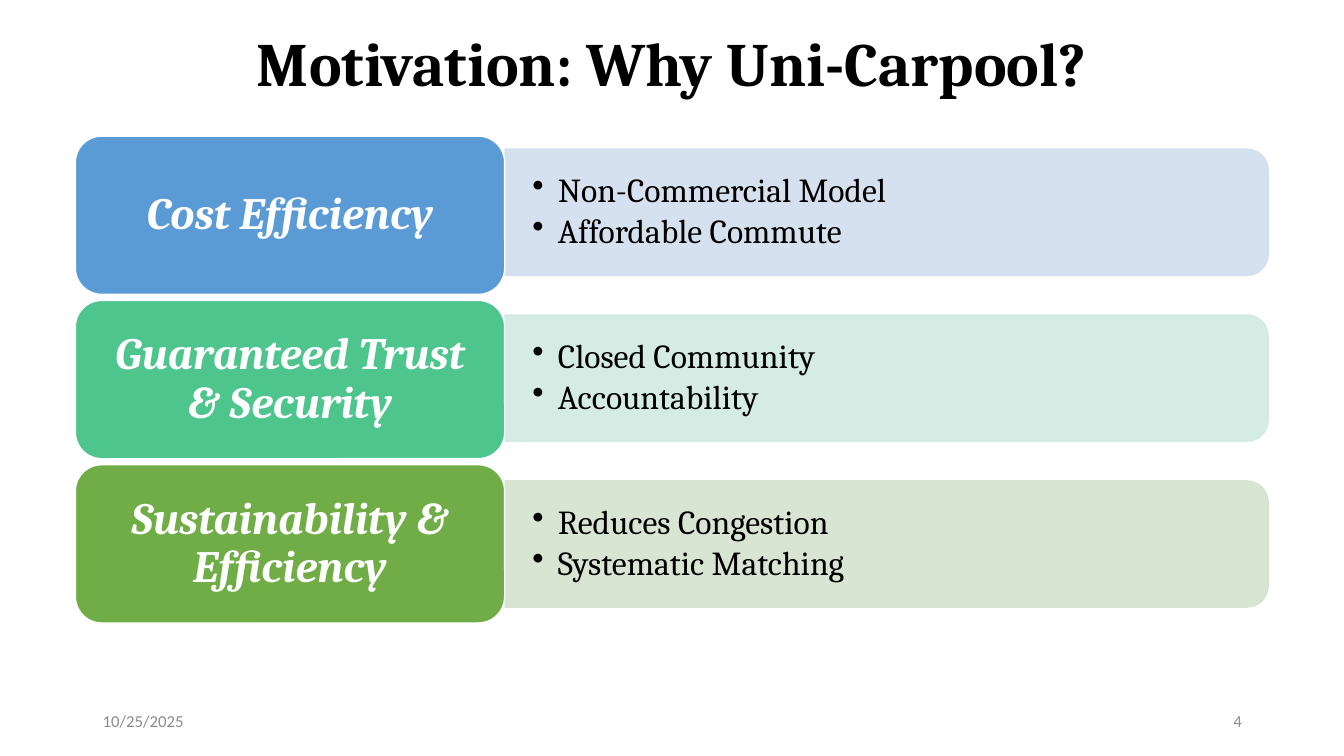
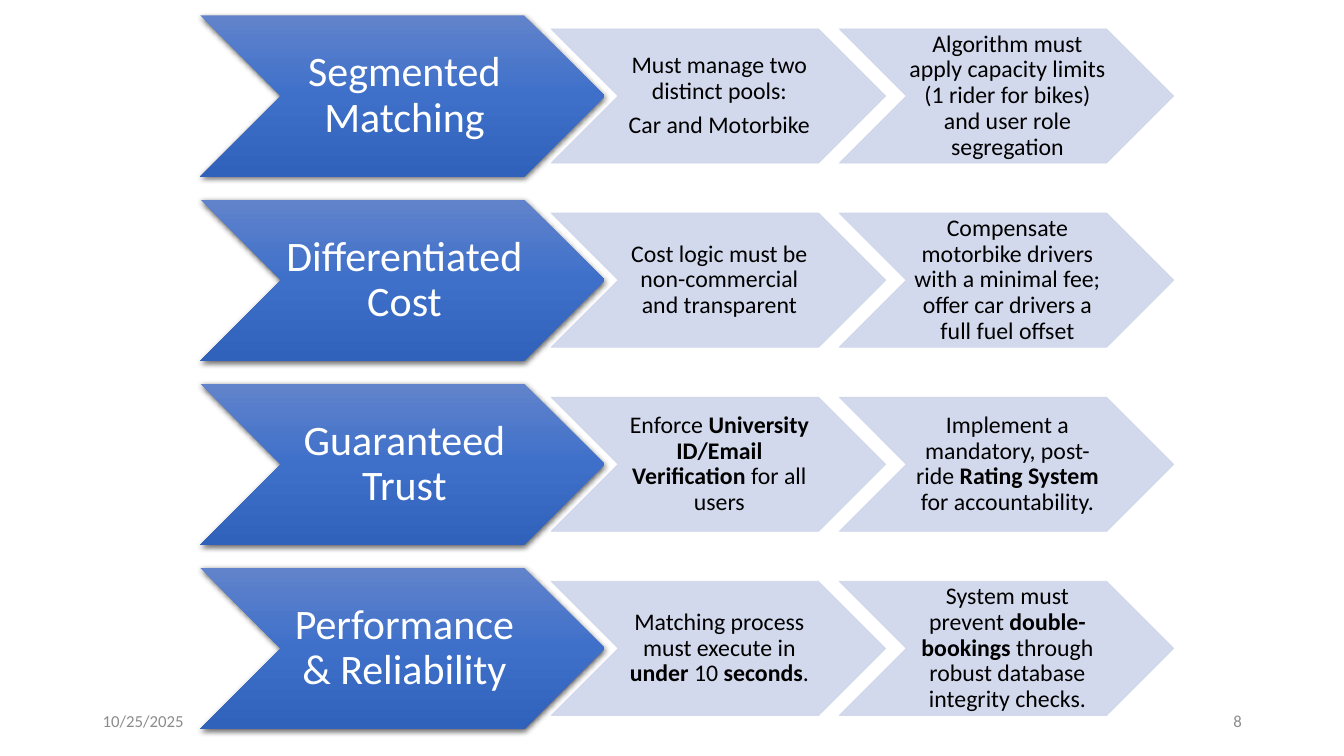
from pptx import Presentation
from pptx.dml.color import RGBColor
from pptx.enum.shapes import MSO_SHAPE
from pptx.enum.text import MSO_ANCHOR, MSO_AUTO_SIZE, PP_ALIGN
from pptx.oxml import parse_xml
from pptx.oxml.ns import nsdecls, qn
from pptx.util import Cm, Pt

BLACK = RGBColor(0x00, 0x00, 0x00)
WHITE = RGBColor(0xFF, 0xFF, 0xFF)
FOOTER_GREY = RGBColor(0x8C, 0x8C, 0x8C)
BLUE = RGBColor(0x5B, 0x9B, 0xD5)
PALE_BLUE = RGBColor(0xD2, 0xDE, 0xEF)
MINT = RGBColor(0x4D, 0xC5, 0x8D)
PALE_MINT = RGBColor(0xD0, 0xEA, 0xE1)
GREEN = RGBColor(0x70, 0xAD, 0x47)
PALE_GREEN = RGBColor(0xD5, 0xE3, 0xCF)
LAVENDER = RGBColor(0xCF, 0xD5, 0xEA)
ROYAL_STOPS = (
    (0, RGBColor(0x61, 0x83, 0xCB)),
    (50, RGBColor(0x3E, 0x70, 0xCA)),
    (100, RGBColor(0x30, 0x62, 0xBB)),
)

HEADING_FONT = "Cambria"
BODY_FONT = "Calibri"
SLIDE_WIDTH, SLIDE_HEIGHT = 33.87, 19.05
TITLE_ONLY, BLANK = 5, 6
DATE = "10/25/2025"

MOTIVES = (
    ("Cost Efficiency", "Non-Commercial Model\nAffordable Commute", BLUE, PALE_BLUE),
    ("Guaranteed Trust & Security", "Closed Community\nAccountability", MINT, PALE_MINT),
    ("Sustainability & Efficiency", "Reduces Congestion\nSystematic Matching",
     GREEN, PALE_GREEN),
)

REQUIREMENTS = (
    ("Segmented Matching",
     "Must manage two distinct pools:\nCar and Motorbike",
     "Algorithm must apply capacity limits (1 rider for bikes) and user role segregation"),
    ("Differentiated Cost",
     "Cost logic must be non-commercial and transparent",
     "Compensate motorbike drivers with a minimal fee; "
     "offer car drivers a full fuel offset"),
    ("Guaranteed Trust",
     "Enforce **University ID/Email Verification** for all users",
     "Implement a mandatory, post-ride **Rating System** for accountability."),
    ("Performance & Reliability",
     "Matching process must execute in **under **10** seconds**.",
     "System must prevent **double-bookings** through robust database integrity checks."),
)


def write(frame, text, size, font=BODY_FONT, color=BLACK, bold=False, italic=False,
          align=PP_ALIGN.LEFT, line_spacing=0.9, gap=0, bullet=False,
          insets=(0.25, 0.13, 0.25, 0.13)):
    """Fill a frame: a new line starts a paragraph, ** switches bold on and off."""
    frame.word_wrap = True
    frame.auto_size = MSO_AUTO_SIZE.NONE
    frame.vertical_anchor = MSO_ANCHOR.MIDDLE
    (frame.margin_left, frame.margin_top,
     frame.margin_right, frame.margin_bottom) = map(Cm, insets)
    lines = text.split("\n")
    for index, line in enumerate(lines):
        paragraph = frame.add_paragraph() if index else frame.paragraphs[0]
        if bullet:
            properties = paragraph._p.get_or_add_pPr()
            properties.set("marL", str(Cm(0.64)))
            properties.set("indent", str(-Cm(0.64)))
            properties.append(parse_xml(f'<a:buChar {nsdecls("a")} char="•"/>'))
        paragraph.alignment = align
        paragraph.line_spacing = line_spacing
        if index < len(lines) - 1:
            paragraph.space_after = Pt(gap)
        for part, words in enumerate(line.split("**")):
            if not words:
                continue
            run = paragraph.add_run()
            run.text = words
            run.font.name = font
            run.font.size = Pt(size)
            run.font.bold = bold or part % 2 == 1
            run.font.italic = italic
            run.font.color.rgb = color


def make_translucent(shape, percent):
    for color in shape._element.spPr.iter(qn("a:srgbClr")):
        color.append(parse_xml(f'<a:alpha {nsdecls("a")} val="{percent * 1000}"/>'))


def fill_downward(shape, stops):
    shape.fill.gradient()
    gradient = shape._element.spPr.find(qn("a:gradFill"))
    stop_xml = "".join(f'<a:gs pos="{position * 1000}"><a:srgbClr val="{color}"/></a:gs>'
                       for position, color in stops)
    gradient.getparent().replace(gradient, parse_xml(
        f'<a:gradFill {nsdecls("a")} rotWithShape="1"><a:gsLst>{stop_xml}</a:gsLst>'
        '<a:lin ang="5400000" scaled="0"/></a:gradFill>'))


def drop_shadow(shape):
    effects = shape._element.spPr.find(qn("a:effectLst"))
    effects.append(parse_xml(
        f'<a:outerShdw {nsdecls("a")} blurRad="{Pt(4.5)}" dist="{Pt(1.5)}" dir="5400000" '
        'algn="ctr" rotWithShape="0"><a:srgbClr val="000000"><a:alpha val="63000"/>'
        '</a:srgbClr></a:outerShdw>'))


class Deck:
    """Holds the presentation, its style and the slide being built."""

    def __init__(self):
        self.presentation = Presentation()
        self.presentation.slide_width = Cm(SLIDE_WIDTH)
        self.presentation.slide_height = Cm(SLIDE_HEIGHT)
        self.slide = None

    def start_slide(self, number, title=None):
        layout = self.presentation.slide_layouts[TITLE_ONLY if title else BLANK]
        self.slide = self.presentation.slides.add_slide(layout)
        if title:
            heading = self.slide.shapes.title
            heading.left, heading.top = Cm(0), Cm(0)
            heading.width, heading.height = Cm(SLIDE_WIDTH), Cm(3.35)
            write(heading.text_frame, title, 44, font=HEADING_FONT, bold=True,
                  align=PP_ALIGN.CENTER)
        for left, text, align in ((2.34, DATE, PP_ALIGN.LEFT),
                                  (23.93, str(number), PP_ALIGN.RIGHT)):
            self.text(left, 17.65, 7.62, 1.02, text, size=12, color=FOOTER_GREY,
                      align=align, line_spacing=1)

    def text(self, left, top, width, height, text, **style):
        box = self.slide.shapes.add_textbox(Cm(left), Cm(top), Cm(width), Cm(height))
        write(box.text_frame, text, **style)

    def shape(self, preset, left, top, width, height, fill=None, line=None, line_width=1):
        shape = self.slide.shapes.add_shape(preset, Cm(left), Cm(top), Cm(width), Cm(height))
        shape.shadow.inherit = False
        if fill is not None:
            shape.fill.solid()
            shape.fill.fore_color.rgb = fill
        if line is None:
            shape.line.fill.background()
        else:
            shape.line.color.rgb = line
            shape.line.width = Pt(line_width)
        return shape

    def detail_band(self, left, middle, text, color):
        """Band rounded on its right end, made by turning an upright shape."""
        length, thickness = 19.23, 3.18
        band = self.shape(MSO_SHAPE.ROUND_2_SAME_RECTANGLE,
                          left + (length - thickness) / 2, middle - length / 2,
                          thickness, length, fill=color, line=color)
        band.rotation = 90
        make_translucent(band, 90)
        self.text(left, middle - 1.43, 19.08, 2.86, text, size=24, font=HEADING_FONT,
                  gap=3.6, bullet=True, insets=(0.69, 0.36, 0.69, 0.36))

    def motive_card(self, left, top, text, color):
        card = self.shape(MSO_SHAPE.ROUNDED_RECTANGLE, left, top, 10.82, 3.99,
                          fill=color, line=WHITE)
        write(card.text_frame, text, 32, font=HEADING_FONT, color=WHITE, bold=True,
              italic=True, align=PP_ALIGN.CENTER, insets=(0.33, 0.18, 0.33, 0.18))

    def topic_chevron(self, left, middle, text):
        height = 4.06
        chevron = self.shape(MSO_SHAPE.CHEVRON, left, middle - height / 2, 10.19, height)
        fill_downward(chevron, ROYAL_STOPS)
        drop_shadow(chevron)
        write(chevron.text_frame, text, 30, color=WHITE, align=PP_ALIGN.CENTER,
              insets=(0.1, 0.05, 0, 0.05))

    def detail_chevron(self, left, middle, text):
        height = 3.38
        chevron = self.shape(MSO_SHAPE.CHEVRON, left, middle - height / 2, 8.43, height,
                             fill=LAVENDER, line=LAVENDER, line_width=0.5)
        make_translucent(chevron, 90)
        write(chevron.text_frame, text, 17, align=PP_ALIGN.CENTER, gap=6,
              insets=(0.05, 0.03, 0, 0.03))


def build_motivation(deck):
    deck.start_slide(4, "Motivation: Why Uni-Carpool?")
    for row, (motive, details, color, pale_color) in enumerate(MOTIVES):
        deck.detail_band(12.73, 5.35 + row * 4.18, details, pale_color)
        deck.motive_card(1.9, 3.43 + row * 4.14, motive, color)


def build_requirements(deck):
    deck.start_slide(8)
    for row, (topic, *details) in enumerate(REQUIREMENTS):
        middle = 2.42 + row * 4.64
        deck.topic_chevron(5.05, middle, topic)
        for column, detail in enumerate(details):
            deck.detail_chevron(13.89 + column * 7.26, middle, detail)


def main():
    deck = Deck()
    build_motivation(deck)
    build_requirements(deck)
    deck.presentation.save("out.pptx")


if __name__ == "__main__":
    main()
